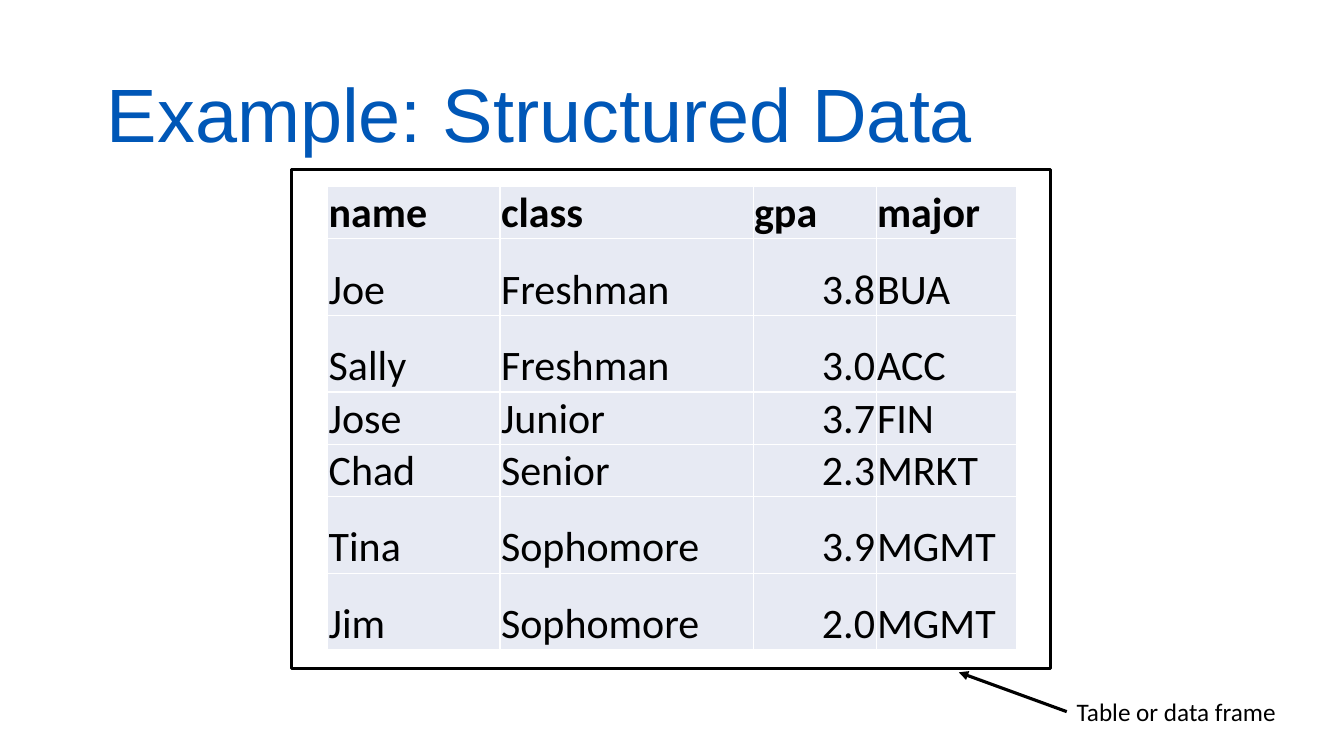
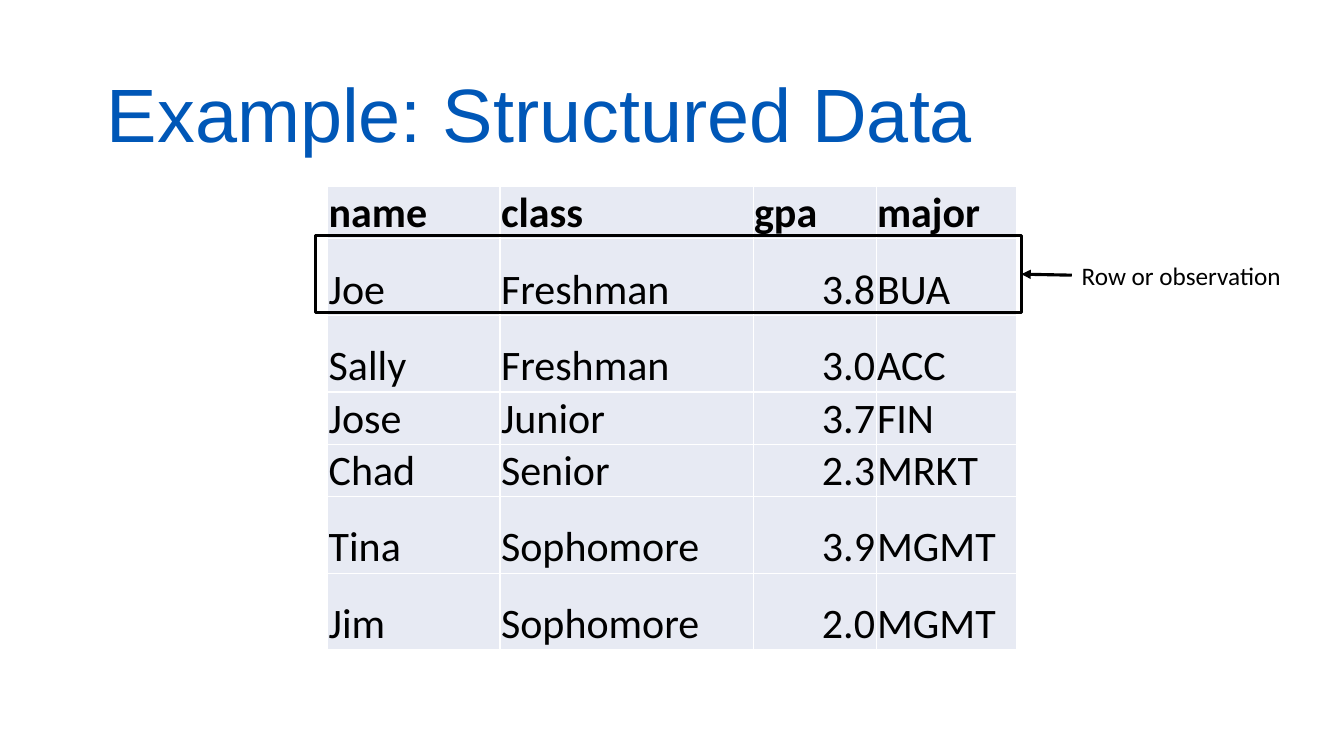
from lxml.etree import SubElement
from pptx import Presentation
from pptx.dml.color import RGBColor
from pptx.enum.shapes import MSO_CONNECTOR, MSO_SHAPE
from pptx.enum.text import MSO_ANCHOR, MSO_AUTO_SIZE, PP_ALIGN
from pptx.oxml.ns import qn
from pptx.util import Inches, Pt

BLUE = RGBColor(0x00, 0x57, 0xB7)
BLACK = RGBColor(0x00, 0x00, 0x00)
WHITE = RGBColor(0xFF, 0xFF, 0xFF)
PALE = RGBColor(0xE7, 0xEA, 0xF3)

TITLE = "Example: Structured Data"
TITLE_BOX = (0.96, 0.63, 10.97, 1.09)
TABLE_BOX = (3.25, 1.85, 6.82, 4.57)
LABEL_SIZE = (2.41, 0.4)
LINE_WIDTH = Pt(2.25)
LEFT_SIDE, RIGHT_SIDE = 1, 3

COL_WIDTHS = (1.71, 2.51, 1.22, 1.39)
LOW_ROW, HIGH_ROW = 0.51, 0.76
LOW_ROWS = (0, 3, 4)
GPA_COL = 2
STUDENTS = (
    ("name", "class", "gpa", "major"),
    ("Joe", "Freshman", "3.8", "BUA"),
    ("Sally", "Freshman", "3.0", "ACC"),
    ("Jose", "Junior", "3.7", "FIN"),
    ("Chad", "Senior", "2.3", "MRKT"),
    ("Tina", "Sophomore", "3.9", "MGMT"),
    ("Jim", "Sophomore", "2.0", "MGMT"),
)


def inches(values):
    """Turn plain numbers into lengths."""
    return [Inches(v) for v in values]


def put_text(tf, text, size=18, font="Calibri", color=BLACK, bold=False,
             align=PP_ALIGN.LEFT, spacing=None):
    """Write one formatted paragraph into a text frame."""
    p = tf.paragraphs[0]
    p.alignment = align
    p.line_spacing = spacing
    r = p.add_run()
    r.text = text
    r.font.size = Pt(size)
    r.font.name = font
    r.font.bold = bold
    r.font.color.rgb = color


def add_title(s, box):
    """Place the slide title."""
    sp = s.shapes.title
    sp.left, sp.top, sp.width, sp.height = inches(box)
    tf = sp.text_frame
    tf.word_wrap = True
    tf.auto_size = MSO_AUTO_SIZE.NONE
    tf.vertical_anchor = MSO_ANCHOR.MIDDLE
    put_text(tf, TITLE, size=54, font="Arial", color=BLUE, spacing=0.9)


def add_borders(cell):
    """Give a cell thin white borders on all sides."""
    tcPr = cell._tc.get_or_add_tcPr()
    for side in ("a:lnL", "a:lnR", "a:lnT", "a:lnB"):
        ln = SubElement(tcPr, qn(side), w=str(Pt(1)))
        fill = SubElement(ln, qn("a:solidFill"))
        SubElement(fill, qn("a:srgbClr"), val=str(WHITE))


def style_cell(cell):
    """Set the borders, fill, margins and anchor of a cell."""
    add_borders(cell)
    cell.fill.solid()
    cell.fill.fore_color.rgb = PALE
    cell.margin_left = cell.margin_right = cell.margin_top = Inches(0.01)
    cell.margin_bottom = 0
    cell.vertical_anchor = MSO_ANCHOR.BOTTOM


def add_students(s, box):
    """Place the table of students."""
    table = s.shapes.add_table(len(STUDENTS), len(COL_WIDTHS), *inches(box)).table
    table.first_row = table.horz_banding = False
    for col, width in zip(table.columns, COL_WIDTHS):
        col.width = Inches(width)
    for i, values in enumerate(STUDENTS):
        table.rows[i].height = Inches(LOW_ROW if i in LOW_ROWS else HIGH_ROW)
        for j, value in enumerate(values):
            cell = table.cell(i, j)
            style_cell(cell)
            number = i > 0 and j == GPA_COL
            put_text(cell.text_frame, value, size=30, bold=i == 0,
                     align=PP_ALIGN.RIGHT if number else PP_ALIGN.LEFT)


def add_frame(s, box):
    """Place an unfilled black frame."""
    sp = s.shapes.add_shape(MSO_SHAPE.RECTANGLE, *inches(box))
    sp.shadow.inherit = False
    sp.fill.background()
    sp.line.color.rgb = BLACK
    sp.line.width = LINE_WIDTH
    return sp


def add_label(s, text, corner):
    """Place a label with its top left at the given corner."""
    sp = s.shapes.add_textbox(*inches(corner + LABEL_SIZE))
    tf = sp.text_frame
    tf.word_wrap = True
    tf.auto_size = MSO_AUTO_SIZE.SHAPE_TO_FIT_TEXT
    put_text(tf, text)
    return sp


def add_arrow(s, label, frame, tip=None):
    """Draw an arrow from a label to a tip, or to the frame's right side."""
    x, y = inches(tip or (0, 0))
    cxn = s.shapes.add_connector(MSO_CONNECTOR.STRAIGHT, 0, 0, x, y)
    cxn.begin_connect(label, LEFT_SIDE)
    if tip is None:
        cxn.end_connect(frame, RIGHT_SIDE)
    cxn.line.color.rgb = BLACK
    cxn.line.width = LINE_WIDTH
    spPr = cxn._element.spPr
    SubElement(spPr.find(qn("a:ln")), qn("a:tailEnd"), type="triangle")
    SubElement(spPr, qn("a:effectLst"))


def add_data_slide(prs, text, corner, frame_box, tip=None):
    """Add a slide that frames and labels one part of the table."""
    s = prs.slides.add_slide(prs.slide_layouts.get_by_name("Title Only"))
    add_title(s, TITLE_BOX)
    add_students(s, TABLE_BOX)
    label = add_label(s, text, corner)
    frame = add_frame(s, frame_box)
    add_arrow(s, label, frame, tip)


def main():
    """Build and save the presentation."""
    prs = Presentation()
    prs.slide_width, prs.slide_height = inches((13.33, 7.5))
    add_data_slide(prs, "Table or data frame", (10.58, 6.86),
                   (2.89, 1.68, 7.53, 4.95), tip=(9.51, 6.67))
    add_data_slide(prs, "Row or observation", (10.63, 2.53),
                   (3.13, 2.34, 7, 0.76))
    prs.save("out.pptx")


if __name__ == "__main__":
    main()
